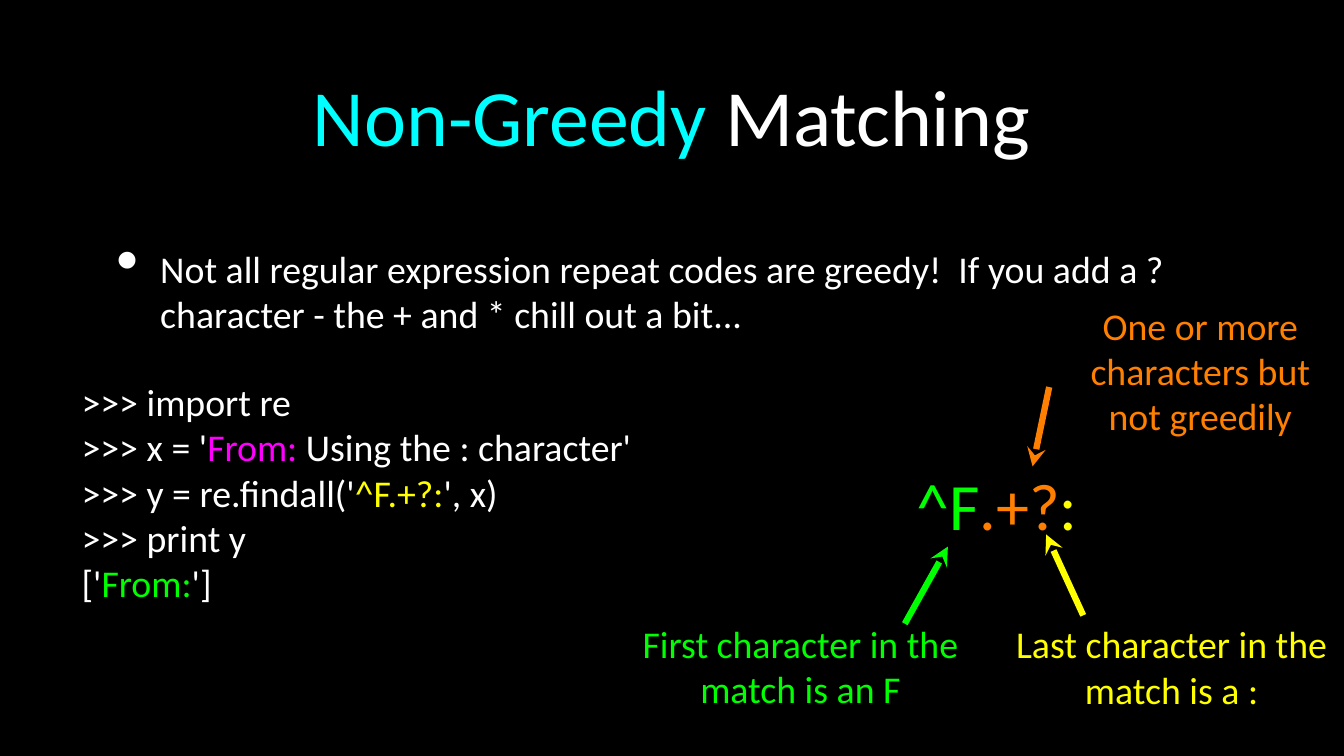
"""Build the slide that explains non-greedy matching in regular expressions."""
from lxml.etree import SubElement
from pptx import Presentation
from pptx.dml.color import RGBColor
from pptx.enum.shapes import MSO_CONNECTOR
from pptx.enum.text import MSO_ANCHOR, MSO_AUTO_SIZE, PP_ALIGN
from pptx.oxml.ns import qn
from pptx.util import Inches, Pt

BLACK = RGBColor(0x00, 0x00, 0x00)
WHITE = RGBColor(0xFF, 0xFF, 0xFF)
CYAN = RGBColor(0x00, 0xFF, 0xFF)
MAGENTA = RGBColor(0xFF, 0x00, 0xFF)
YELLOW = RGBColor(0xFF, 0xFF, 0x00)
GREEN = RGBColor(0x00, 0xFF, 0x00)
ORANGE = RGBColor(0xFF, 0x7F, 0x00)


def add_run(paragraph, text, *, font="Calibri", size=36, color=WHITE):
    run = paragraph.add_run()
    run.text = text
    run.font.name = font
    run.font.size = Pt(size)
    run.font.color.rgb = color


class SlideBuilder:
    def __init__(self, presentation):
        self.body_size = 36
        self.title_size = 76
        self.pattern_size = 63
        self.arrow_width = 6
        self.slide = presentation.slides.add_slide(presentation.slide_layouts[5])
        self.slide.background.fill.solid()
        self.slide.background.fill.fore_color.rgb = BLACK

    def fill_frame(self, frame, lines, size, align, anchor, margin=0, wrap=True):
        frame.word_wrap = wrap
        frame.auto_size = MSO_AUTO_SIZE.NONE if wrap else MSO_AUTO_SIZE.SHAPE_TO_FIT_TEXT
        frame.vertical_anchor = anchor
        frame.margin_left = frame.margin_right = Inches(margin)
        frame.margin_top = frame.margin_bottom = Inches(margin)
        for number, line in enumerate(lines):
            paragraph = frame.add_paragraph() if number else frame.paragraphs[0]
            paragraph.alignment = align
            for text, color in line:
                add_run(paragraph, text, size=size, color=color)

    def title(self, left, top, width, height, line):
        heading = self.slide.shapes.title
        heading.left, heading.top = Inches(left), Inches(top)
        heading.width, heading.height = Inches(width), Inches(height)
        self.fill_frame(heading.text_frame, [line], self.title_size,
                        PP_ALIGN.CENTER, MSO_ANCHOR.MIDDLE, margin=0.04)

    def text(self, left, top, width, height, lines, size=None,
             align=PP_ALIGN.LEFT, margin=0, wrap=True):
        box = self.slide.shapes.add_textbox(
            Inches(left), Inches(top), Inches(width), Inches(height))
        self.fill_frame(box.text_frame, lines, size or self.body_size,
                        align, MSO_ANCHOR.MIDDLE, margin, wrap)
        return box.text_frame

    def bullet(self, left, top, width, height, text):
        frame = self.text(left, top, width, height, [[(text, WHITE)]], margin=0.04)
        properties = frame.paragraphs[0]._p.get_or_add_pPr()
        properties.set("marL", str(Inches(0.82)))
        properties.set("indent", str(Inches(-0.58)))
        bullet_color = SubElement(properties, qn("a:buClr"))
        SubElement(bullet_color, qn("a:srgbClr"), val=str(WHITE))
        SubElement(properties, qn("a:buSzPct"), val="171000")
        SubElement(properties, qn("a:buChar"), char="•")

    def pattern(self, left, top, width, height, line):
        self.text(left, top, width, height, [line], size=self.pattern_size, wrap=False)

    def callout(self, left, top, width, height, text, color, tip, tail):
        self.text(left, top, width, height, [[(text, color)]], align=PP_ALIGN.CENTER)
        arrow = self.slide.shapes.add_connector(
            MSO_CONNECTOR.STRAIGHT, *(Inches(value) for value in tip + tail))
        arrow.line.color.rgb = color
        arrow.line.width = Pt(self.arrow_width)
        SubElement(arrow.line._get_or_add_ln(), qn("a:headEnd"), type="stealth")
        SubElement(arrow._element.spPr, qn("a:effectLst"))


def main():
    presentation = Presentation()
    presentation.slide_width = Inches(17.78)
    presentation.slide_height = Inches(10)
    builder = SlideBuilder(presentation)

    builder.title(1.26, 0.26, 15.24, 2.51, [("Non-Greedy", CYAN), (" Matching", WHITE)])
    builder.bullet(1.26, 2.85, 15.24, 2,
                   "Not all regular expression repeat codes are greedy!  If you add a ? "
                   "character - the + and * chill out a bit...")
    builder.text(1.08, 5.03, 10.97, 2.96, [
        [(">>> import re", WHITE)],
        [(">>> x = '", WHITE), ("From: ", MAGENTA), ("Using the : character'", WHITE)],
        [(">>> y = re.findall('", WHITE), ("^F.+?:", YELLOW), ("', x)", WHITE)],
        [(">>> print y", WHITE)],
        [("['", WHITE), ("From:", GREEN), ("']", WHITE)],
    ])
    builder.pattern(12.12, 6.14, 2.3, 1.05,
                    [("^F", GREEN), (".+?", ORANGE), (":", YELLOW)])
    builder.callout(14.11, 3.99, 3.54, 1.82, "One or more characters but not greedily",
                    ORANGE, tip=(13.66, 6.17), tail=(13.88, 5.12))
    builder.callout(8.31, 8.18, 4.56, 1.25, "First character in the match is an F",
                    GREEN, tip=(12.54, 7.23), tail=(11.97, 8.25))
    builder.callout(13.22, 8.19, 4.56, 1.25, "Last character in the match is a :",
                    YELLOW, tip=(13.84, 7.07), tail=(14.33, 8.14))

    presentation.save("out.pptx")


if __name__ == "__main__":
    main()
